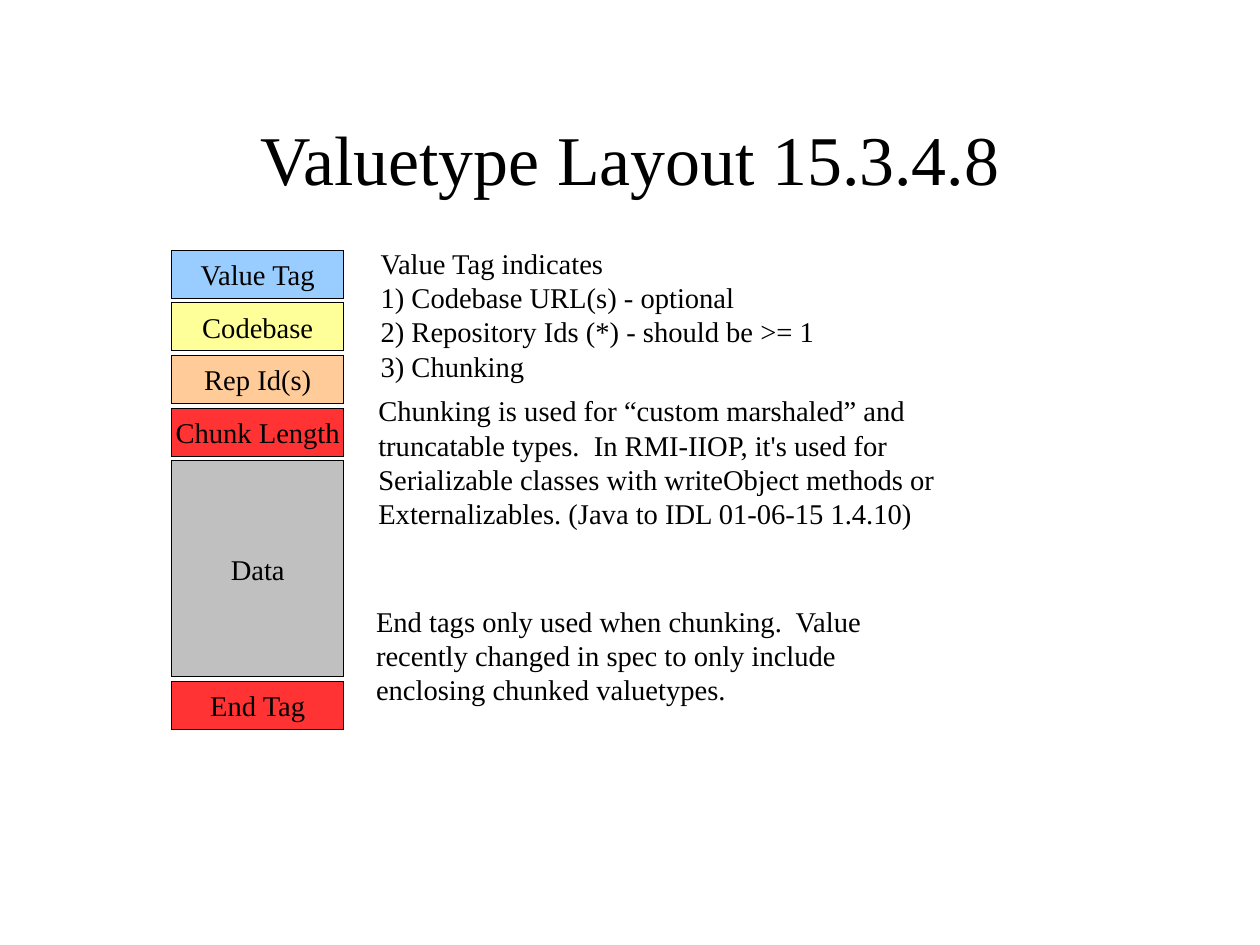
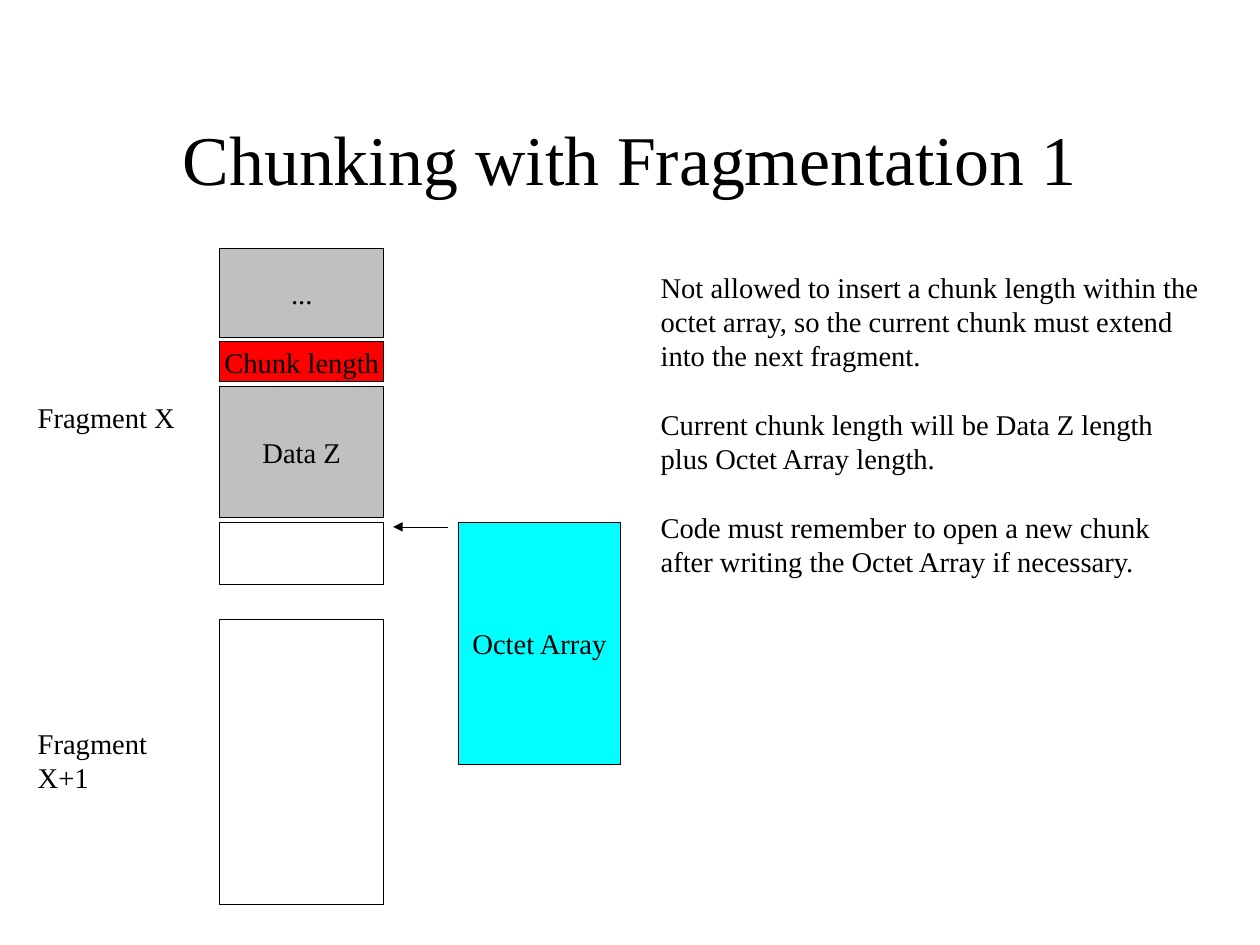
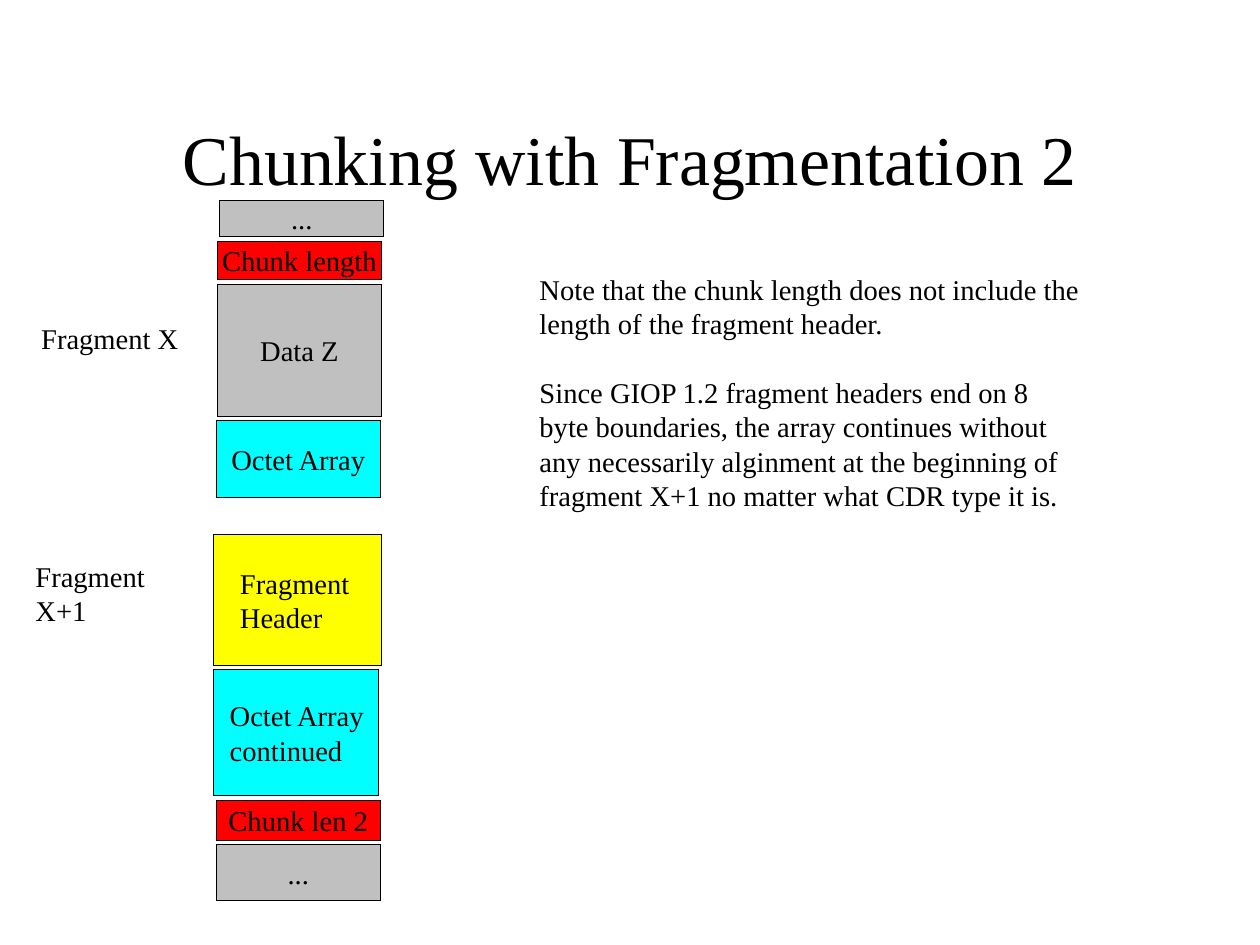
import dataclasses

import pptx
import pptx.dml.color
import pptx.enum.shapes
import pptx.enum.text
import pptx.oxml.ns
import pptx.util
from lxml import etree

Inches = pptx.util.Inches
Pt = pptx.util.Pt
ALIGN = pptx.enum.text.PP_ALIGN
ANCHOR = pptx.enum.text.MSO_ANCHOR

FONT = "Times New Roman"
TITLE_SIZE = 44
BODY_SIZE = 18
LEADING = 1.2
STACK_GAP = 0.04
BLACK = "000000"
GREY = "C0C0C0"
RED = "FF0000"
SOFT_RED = "FF3333"
CYAN = "00FFFF"
YELLOW = "FFFF00"
PALE_YELLOW = "FFFF99"
PALE_BLUE = "99CCFF"
PEACH = "FFCC99"


@dataclasses.dataclass
class Block:
    label: str
    height: float
    color: str = ""
    shift: float = 0
    widen: float = 0
    indent: float = 0


def rgb(color):
    return pptx.dml.color.RGBColor.from_string(color)


def write_text(shape, lines, size=BODY_SIZE, align=ALIGN.LEFT, anchor=ANCHOR.TOP, indent=0, gap=0):
    frame = shape.text_frame
    frame.word_wrap = True
    frame.auto_size = pptx.enum.text.MSO_AUTO_SIZE.NONE
    frame.vertical_anchor = anchor
    frame.margin_left = Inches(indent)
    frame.margin_top = frame.margin_right = frame.margin_bottom = 0
    frame.text = "\n".join(lines)
    for para in frame.paragraphs:
        para.alignment = align
        para.line_spacing = Pt(size * LEADING)
        para.space_before = Pt(0)
        para.space_after = Pt(gap)
        para.font.name = FONT
        para.font.size = Pt(size)
        para.font.color.rgb = rgb(BLACK)


def add_page(deck, title):
    page = deck.slides.add_slide(deck.slide_layouts[5])
    box = page.shapes.title
    box.left, box.top = Inches(0.81), Inches(0.69)
    box.width, box.height = Inches(9.41), Inches(1.38)
    write_text(box, [title], TITLE_SIZE, ALIGN.CENTER, ANCHOR.MIDDLE)
    return page


def add_note(page, left, top, width, height, lines, gap=0):
    box = page.shapes.add_textbox(Inches(left), Inches(top), Inches(width), Inches(height))
    write_text(box, lines, gap=gap)


def add_fragment_label(page, left, top, text):
    add_note(page, left, top, 1.39, 0.68, [text])


def set_hairline(line):
    line.color.rgb = rgb(BLACK)
    outline = line._get_or_add_ln()
    outline.set("w", "0")
    return outline


def add_block(page, left, top, width, block):
    box = page.shapes.add_shape(
        pptx.enum.shapes.MSO_SHAPE.RECTANGLE,
        Inches(left + block.shift), Inches(top), Inches(width + block.widen), Inches(block.height))
    box.shadow.inherit = False
    if block.color:
        box.fill.solid()
        box.fill.fore_color.rgb = rgb(block.color)
    else:
        box.fill.background()
    set_hairline(box.line)
    if block.label:
        align = ALIGN.LEFT if block.indent else ALIGN.CENTER
        write_text(box, block.label.split("\n"), align=align, anchor=ANCHOR.MIDDLE, indent=block.indent)


def add_stack(page, left, top, width, blocks):
    for block in blocks:
        add_block(page, left, top, width, block)
        top += block.height + STACK_GAP


def add_arrow(page, tip, tail, level):
    arrow = page.shapes.add_connector(
        pptx.enum.shapes.MSO_CONNECTOR.STRAIGHT,
        Inches(tip), Inches(level), Inches(tail), Inches(level))
    qn = pptx.oxml.ns.qn
    etree.SubElement(set_hairline(arrow.line), qn("a:headEnd"), type="triangle")
    etree.SubElement(arrow._element.spPr, qn("a:effectLst"))


def add_layout_page(deck):
    page = add_page(deck, "Valuetype Layout 15.3.4.8")
    add_stack(page, 1.5, 2.19, 1.51, [
        Block("Value Tag", 0.42, PALE_BLUE),
        Block("Codebase", 0.42, PALE_YELLOW),
        Block("Rep Id(s)", 0.42, PEACH),
        Block("Chunk Length", 0.42, SOFT_RED),
        Block("Data", 1.89, GREY),
        Block("End Tag", 0.42, SOFT_RED),
    ])
    add_note(page, 3.33, 2.15, 5.33, 1.36, [
        "Value Tag indicates",
        "1) Codebase URL(s) - optional",
        "2) Repository Ids (*) - should be >= 1",
        "3) Chunking",
    ])
    add_note(page, 3.31, 3.44, 5.12, 1.7, [
        "Chunking is used for “custom marshaled” and truncatable types.  In RMI-IIOP, it's used for "
        "Serializable classes with writeObject methods or Externalizables. (Java to IDL 01-06-15 1.4.10)",
    ])
    add_note(page, 3.29, 5.28, 5.03, 1.02, [
        "End tags only used when chunking.  Value recently changed in spec to only include "
        "enclosing chunked valuetypes.",
    ])


def add_insertion_page(deck):
    page = add_page(deck, "Chunking with Fragmentation 1")
    add_stack(page, 1.92, 2.17, 1.44, [
        Block("...", 0.78, GREY),
        Block("Chunk length", 0.35, RED),
        Block("Data Z", 1.15, GREY),
        Block("", 0.54),
    ])
    add_block(page, 1.92, 5.42, 1.44, Block("", 2.49))
    add_block(page, 4.01, 4.57, 1.42, Block("Octet Array", 2.12, CYAN))
    add_arrow(page, 3.44, 3.92, 4.61)
    add_fragment_label(page, 0.33, 3.5, "Fragment X")
    add_fragment_label(page, 0.33, 6.35, "Fragment X+1")
    add_note(page, 5.78, 2.36, 4.74, 3.74, [
        "Not allowed to insert a chunk length within the octet array, so the current chunk must "
        "extend into the next fragment.",
        "Current chunk length will be Data Z length plus Octet Array length.",
        "Code must remember to open a new chunk after writing the Octet Array if necessary.",
    ], gap=BODY_SIZE * LEADING)


def add_result_page(deck):
    page = add_page(deck, "Chunking with Fragmentation 2")
    add_stack(page, 1.9, 1.75, 1.44, [
        Block("...", 0.32, GREY, shift=0.02),
        Block("Chunk length", 0.34, RED),
        Block("Data Z", 1.15, GREY),
        Block("Octet Array", 0.67, CYAN, shift=-0.01),
    ])
    add_stack(page, 1.87, 4.68, 1.44, [
        Block("Fragment\nHeader", 1.14, YELLOW, widen=0.03, indent=0.23),
        Block("Octet Array\ncontinued", 1.1, CYAN, indent=0.14),
        Block("Chunk len 2", 0.35, RED, shift=0.02),
        Block("...", 0.49, GREY, shift=0.02),
    ])
    add_fragment_label(page, 0.36, 2.81, "Fragment X")
    add_fragment_label(page, 0.31, 4.89, "Fragment X+1")
    add_note(page, 4.72, 2.38, 4.76, 3.4, [
        "Note that the chunk length does not include the length of the fragment header.",
        "Since GIOP 1.2 fragment headers end on 8 byte boundaries, the array continues without any "
        "necessarily alginment at the beginning of fragment X+1 no matter what CDR type it is.",
    ], gap=BODY_SIZE * LEADING)


def main():
    deck = pptx.Presentation()
    deck.slide_width = pptx.util.Cm(28)
    deck.slide_height = pptx.util.Cm(21)
    add_layout_page(deck)
    add_insertion_page(deck)
    add_result_page(deck)
    deck.save("out.pptx")


if __name__ == "__main__":
    main()
